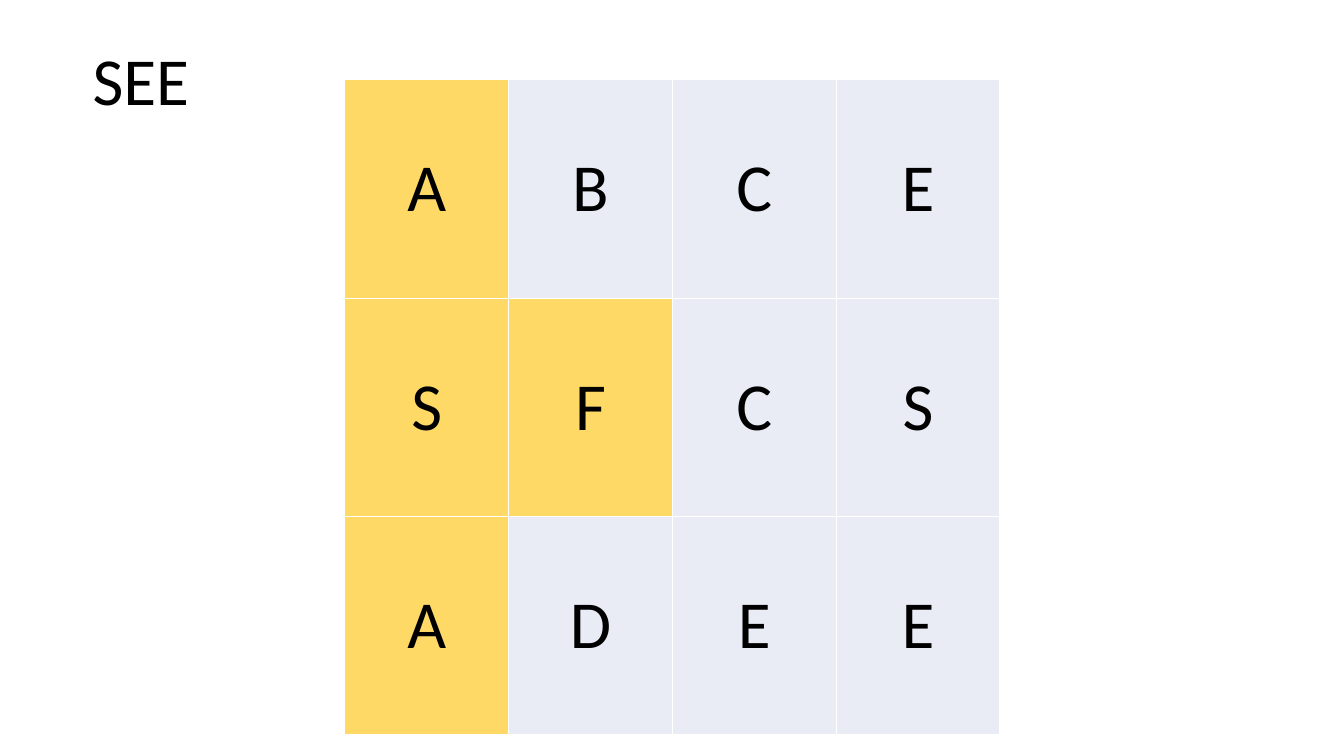
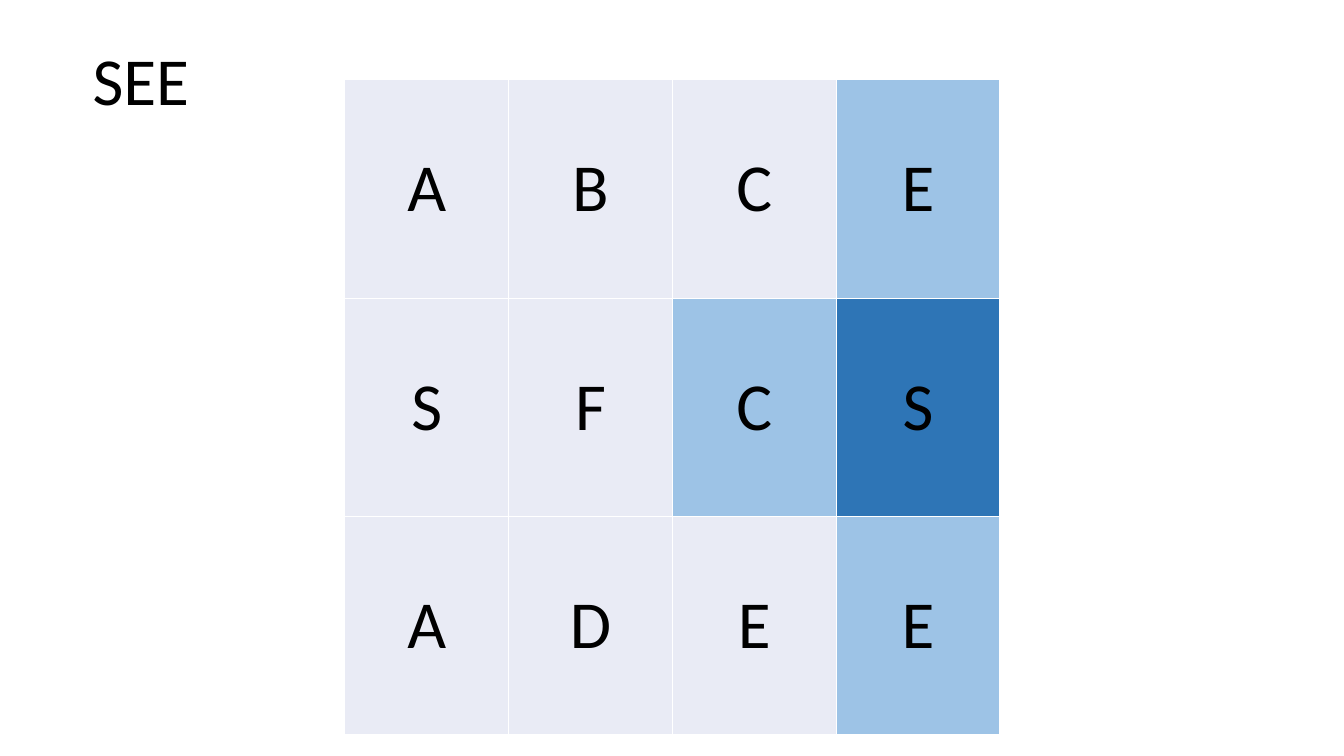
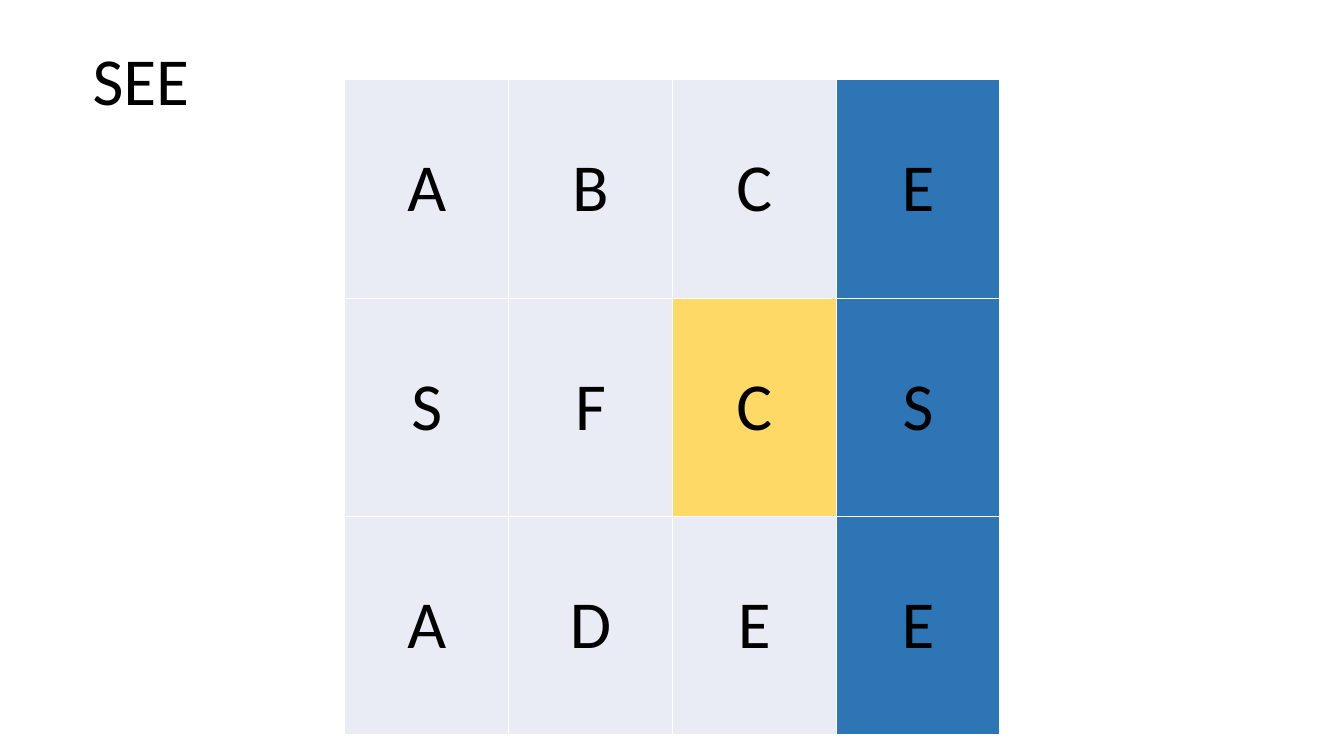
from dataclasses import dataclass

from lxml.etree import SubElement
from pptx import Presentation
from pptx.dml.color import RGBColor
from pptx.enum.text import MSO_ANCHOR, MSO_AUTO_SIZE, PP_ALIGN
from pptx.oxml.ns import qn
from pptx.slide import Slide
from pptx.table import _Cell
from pptx.util import Cm, Pt

COLORS = {
    "text": "000000",
    "edge": "FFFFFF",
    "plain": "E9EBF5",
    "miss": "FFD966",
    "next": "9DC3E6",
    "hit": "2E75B6",
}
FONT = "Calibri"
SIZE = Pt(48)
WORD = "SEE"
BOARD = ("ABCE", "SFCS", "ADEE")
MARKS = {".": "plain", "m": "miss", "n": "next", "h": "hit"}


@dataclass(frozen=True)
class Step:
    marks: tuple[str, ...]


STEPS = (
    Step(("m...", "mm..", "m...")),
    Step(("...n", "..nh", "...n")),
    Step(("...h", "..mh", "...h")),
)


def style(para, align: PP_ALIGN) -> None:
    para.alignment = align
    para.font.name = FONT
    para.font.size = SIZE
    para.font.bold = False
    para.font.color.rgb = RGBColor.from_string(COLORS["text"])


def border(cell: _Cell) -> None:
    props = cell._tc.get_or_add_tcPr()
    for side in ("lnL", "lnR", "lnT", "lnB"):
        line = SubElement(props, qn(f"a:{side}"), w=str(Pt(1)))
        fill = SubElement(line, qn("a:solidFill"))
        SubElement(fill, qn("a:srgbClr"), val=COLORS["edge"])


def draw_cell(cell: _Cell, letter: str, mark: str) -> None:
    border(cell)
    cell.fill.solid()
    cell.fill.fore_color.rgb = RGBColor.from_string(COLORS[MARKS[mark]])
    cell.vertical_anchor = MSO_ANCHOR.MIDDLE
    cell.text = letter
    style(cell.text_frame.paragraphs[0], PP_ALIGN.CENTER)


def draw_word(slide: Slide) -> None:
    title = slide.shapes.title
    title.left, title.top = Cm(2.08), Cm(0.84)
    title.width, title.height = Cm(8.69), Cm(2.31)
    frame = title.text_frame
    frame.text = WORD
    frame.word_wrap = True
    frame.auto_size = MSO_AUTO_SIZE.SHAPE_TO_FIT_TEXT
    frame.vertical_anchor = MSO_ANCHOR.TOP
    style(frame.paragraphs[0], PP_ALIGN.LEFT)


def draw_board(slide: Slide, step: Step) -> None:
    side = Cm(16.51)
    table = slide.shapes.add_table(
        len(BOARD), len(BOARD[0]), Cm(8.69), Cm(2.01), side, side
    ).table
    table.first_row = False
    table.horz_banding = False
    for row, (letters, marks) in enumerate(zip(BOARD, step.marks)):
        for col, (letter, mark) in enumerate(zip(letters, marks)):
            draw_cell(table.cell(row, col), letter, mark)


def main() -> None:
    deck = Presentation()
    deck.slide_width, deck.slide_height = Cm(33.87), Cm(19.05)
    for step in STEPS:
        slide = deck.slides.add_slide(deck.slide_layouts[5])
        draw_word(slide)
        draw_board(slide, step)
    deck.save("out.pptx")


if __name__ == "__main__":
    main()
